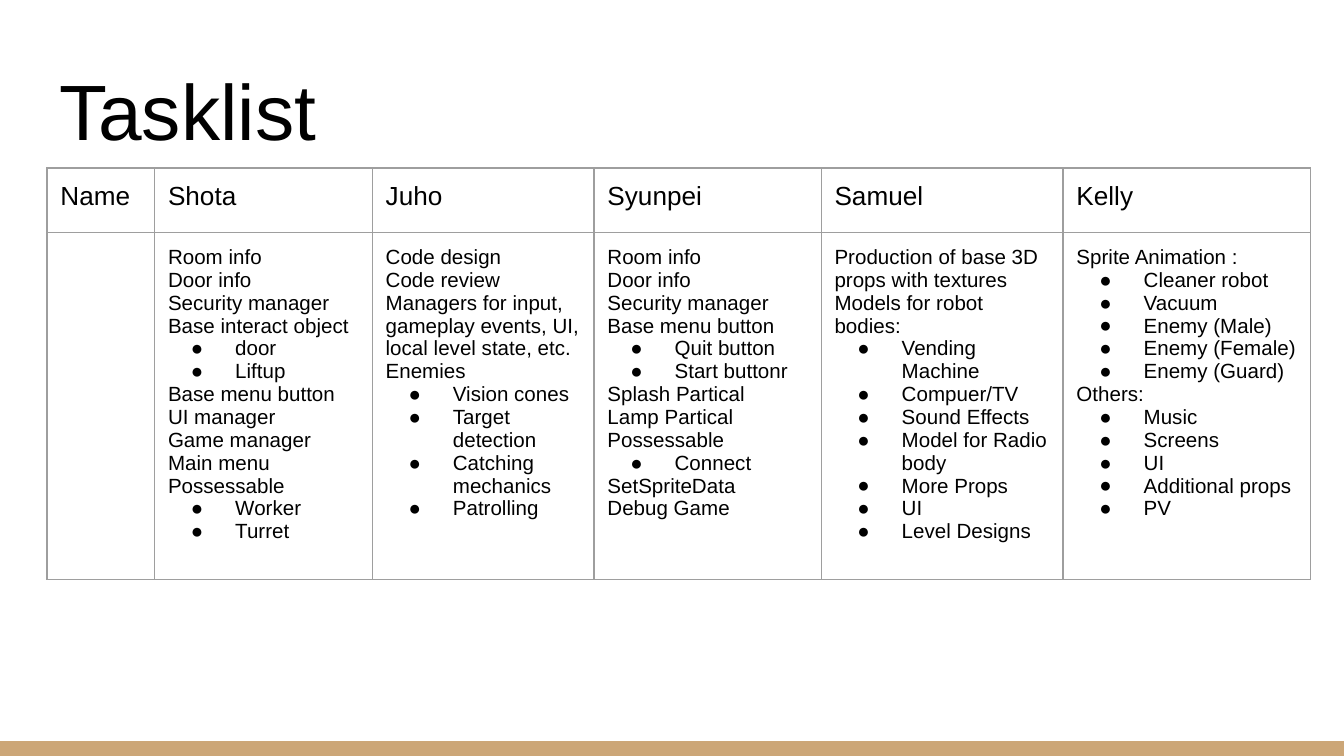
"""Build the task list slide: one table column per team member."""
from dataclasses import dataclass

from lxml import etree
from pptx import Presentation
from pptx.dml import color
from pptx.enum import shapes, text
from pptx.oxml import ns
from pptx.util import Inches, Pt


@dataclass(frozen=True)
class Theme:
    font: str = "Arial"
    ink: str = "000000"
    paper: str = "FFFFFF"
    footer: str = "CCA677"
    border: str = "9E9E9E"
    title_size: int = 42
    name_size: int = 14
    task_size: int = 11


theme = Theme()
rgb = color.RGBColor.from_string
margin = Inches(0.1)
border_width = Pt(0.75)

members = [
    ("Name", 0.8, []),
    ("Shota", 1.62, [
        "Room info", "Door info", "Security manager", "Base interact object",
        "● door", "● Liftup", "Base menu button", "UI manager", "Game manager",
        "Main menu", "Possessable", "● Worker", "● Turret"]),
    ("Juho", 1.65, [
        "Code design", "Code review",
        "Managers for input, gameplay events, UI, local level state, etc.",
        "Enemies", "● Vision cones", "● Target detection",
        "● Catching mechanics", "● Patrolling"]),
    ("Syunpei", 1.69, [
        "Room info", "Door info", "Security manager", "Base menu button",
        "● Quit button", "● Start buttonr", "Splash Partical", "Lamp Partical",
        "Possessable", "● Connect", "SetSpriteData", "Debug Game"]),
    ("Samuel", 1.8, [
        "Production of base 3D props with textures", "Models for robot bodies:",
        "● Vending Machine", "● Compuer/TV", "● Sound Effects",
        "● Model for Radio body", "● More Props", "● UI", "● Level Designs"]),
    ("Kelly", 1.84, [
        "Sprite Animation :", "● Cleaner robot", "● Vacuum", "● Enemy (Male)",
        "● Enemy (Female)", "● Enemy (Guard)", "Others:", "● Music",
        "● Screens", "● UI", "● Additional props", "● PV"]),
]
row_heights = [0.48, 2.58]


def write(frame, lines, size):
    frame.text = "\n".join(line.removeprefix("● ") for line in lines)
    for paragraph, line in zip(frame.paragraphs, lines):
        paragraph.alignment = text.PP_ALIGN.LEFT
        if line.startswith("● "):
            props = paragraph._p.get_or_add_pPr()
            props.set("marL", str(Inches(0.5)))
            props.set("indent", str(Inches(-0.33)))
            bullet_color = etree.SubElement(props, ns.qn("a:buClr"))
            etree.SubElement(bullet_color, ns.qn("a:srgbClr"), val=theme.ink)
            etree.SubElement(props, ns.qn("a:buFont"), typeface=theme.font)
            etree.SubElement(props, ns.qn("a:buChar"), char="●")
        paragraph.font.name = theme.font
        paragraph.font.size = Pt(size)
        paragraph.font.color.rgb = rgb(theme.ink)


def outline(cell):
    props = cell._tc.get_or_add_tcPr()
    for side in ("lnL", "lnR", "lnT", "lnB"):
        edge = etree.SubElement(props, ns.qn(f"a:{side}"), w=str(border_width))
        fill = etree.SubElement(edge, ns.qn("a:solidFill"))
        etree.SubElement(fill, ns.qn("a:srgbClr"), val=theme.border)


deck = Presentation()
deck.slide_width = Inches(10)
deck.slide_height = deck.slide_width * 9 // 16
slide = deck.slides.add_slide(deck.slide_layouts[5])
slide.background.fill.solid()
slide.background.fill.fore_color.rgb = rgb(theme.paper)

footer_height = Inches(0.11)
footer = slide.shapes.add_shape(
    shapes.MSO_SHAPE.RECTANGLE, 0, deck.slide_height - footer_height,
    deck.slide_width, footer_height)
footer.shadow.inherit = False
footer.fill.solid()
footer.fill.fore_color.rgb = rgb(theme.footer)
footer.line.fill.background()

title = slide.shapes.title
title.left, title.top = Inches(0.34), Inches(0.35)
title.width, title.height = Inches(9.32), Inches(0.91)
heading = title.text_frame
heading.auto_size = text.MSO_AUTO_SIZE.NONE
heading.vertical_anchor = text.MSO_ANCHOR.BOTTOM
heading.margin_left = heading.margin_right = margin
heading.margin_top = heading.margin_bottom = margin
write(heading, ["Tasklist"], theme.title_size)

tasklist = slide.shapes.add_table(
    len(row_heights), len(members), Inches(0.35), Inches(1.25),
    Inches(sum(width for _, width, _ in members)), Inches(sum(row_heights))).table
tasklist.first_row = tasklist.horz_banding = False
for row, height in zip(tasklist.rows, row_heights):
    row.height = Inches(height)

for column, (name, width, tasks) in enumerate(members):
    tasklist.columns[column].width = Inches(width)
    contents = [([name], theme.name_size), (tasks, theme.task_size)]
    for row, (lines, size) in enumerate(contents):
        cell = tasklist.cell(row, column)
        cell.margin_left = cell.margin_right = margin
        cell.margin_top = cell.margin_bottom = margin
        outline(cell)
        cell.fill.background()
        write(cell.text_frame, lines, size)

deck.save("out.pptx")
